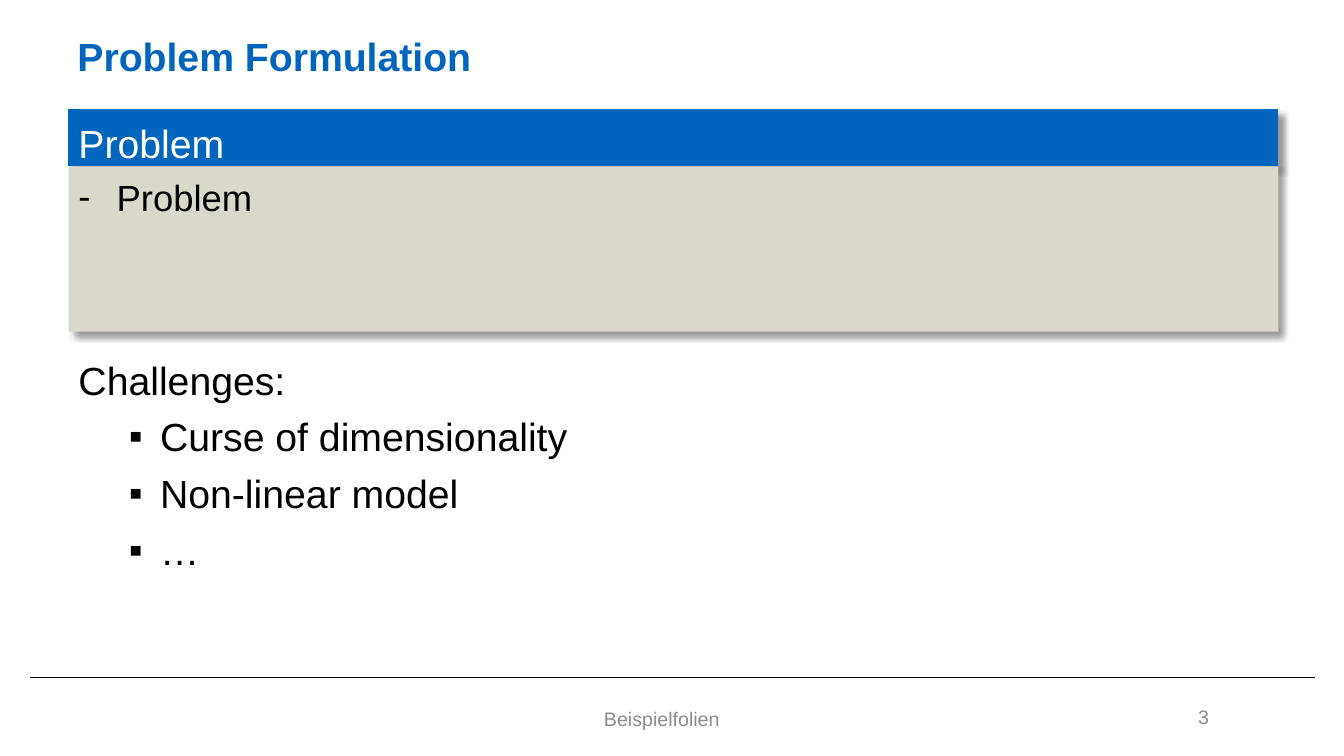
from dataclasses import dataclass

from lxml import etree
from pptx import Presentation
from pptx import util as u
from pptx.dml.color import RGBColor
from pptx.enum import shapes, text
from pptx.oxml import ns

EMU_PER_PX = 9144  # 100 px to the inch
FONT = "Arial"
COLORS = {
    "blue": "0065BD",
    "sand": "DAD7CB",
    "grey": "8C8C8C",
    "black": "000000",
    "white": "FFFFFF",
}


@dataclass(frozen=True)
class Box:
    left: int
    top: int
    width: int
    height: int


@dataclass(frozen=True)
class Line:
    words: str
    bullet: str = ""
    indent: int = 38
    hang: int = 38


@dataclass(frozen=True)
class Panel:
    box: Box
    fill: str
    outline: str
    line: Line
    size: int
    color: str


def px(value: int) -> u.Emu:
    return u.Emu(value * EMU_PER_PX)


def edges(box: Box) -> tuple:
    return px(box.left), px(box.top), px(box.width), px(box.height)


def rgb(name: str) -> RGBColor:
    return RGBColor.from_string(COLORS[name])


def write(shape, lines, *, size=28, color="black", bold=False, inset_top=5,
          align=text.PP_ALIGN.LEFT, anchor=text.MSO_ANCHOR.TOP) -> None:
    frame = shape.text_frame
    frame.word_wrap = True
    frame.vertical_anchor = anchor
    frame.margin_top = px(inset_top)
    for index, line in enumerate(lines):
        paragraph = frame.add_paragraph() if index else frame.paragraphs[0]
        paragraph.text = line.words
        paragraph.alignment = align
        if index:
            paragraph.space_before = u.Pt(7)
        if line.bullet:
            properties = paragraph._p.get_or_add_pPr()
            properties.set("marL", str(px(line.indent)))
            properties.set("indent", str(px(-line.hang)))
            etree.SubElement(properties, ns.qn("a:buFont"), typeface=FONT)
            etree.SubElement(properties, ns.qn("a:buChar"), char=line.bullet)
        font = paragraph.font
        font.name, font.size, font.bold = FONT, u.Pt(size), bold
        font.color.rgb = rgb(color)


def add_text(slide, box: Box, *lines: Line, **style) -> None:
    write(slide.shapes.add_textbox(*edges(box)), lines, **style)


def add_shadow(shape) -> None:
    effects = shape._element.spPr.find(ns.qn("a:effectLst"))
    shadow = etree.SubElement(
        effects, ns.qn("a:outerShdw"), blurRad=str(u.Pt(4)), dist=str(u.Pt(5)),
        dir=str(45 * 60000), algn="tl", rotWithShape="0")
    shade = etree.SubElement(shadow, ns.qn("a:srgbClr"), val=COLORS["black"])
    etree.SubElement(shade, ns.qn("a:alpha"), val="40000")


def add_panel(slide, panel: Panel) -> None:
    shape = slide.shapes.add_shape(shapes.MSO_SHAPE.RECTANGLE, *edges(panel.box))
    shape.shadow.inherit = False
    shape.fill.solid()
    shape.fill.fore_color.rgb = rgb(panel.fill)
    if panel.outline:
        shape.line.color.rgb = rgb(panel.outline)
        shape.line.width = u.Pt(0.75)
    else:
        shape.line.fill.background()
    add_shadow(shape)
    write(shape, [panel.line], size=panel.size, color=panel.color, inset_top=9)


def add_rule(slide, left: int, right: int, y: int) -> None:
    rule = slide.shapes.add_connector(
        shapes.MSO_CONNECTOR.STRAIGHT, px(left), px(y), px(right), px(y))
    rule.line.color.rgb = rgb("black")
    rule.line.width = u.Pt(1)
    etree.SubElement(rule._element.spPr, ns.qn("a:effectLst"))


PANELS = [
    Panel(Box(68, 109, 1199, 55), "blue", "blue", Line("Problem"), 28, "white"),
    Panel(Box(68, 165, 1200, 164), "sand", "", Line("Problem", "-"), 26, "black"),
]
CHALLENGES = ["Curse of dimensionality", "Non-linear model", "…"]


def main() -> None:
    deck = Presentation()
    deck.slide_width, deck.slide_height = px(1333), px(750)
    slide = deck.slides.add_slide(deck.slide_layouts[6])
    middle = text.MSO_ANCHOR.MIDDLE

    # Title
    add_text(slide, Box(67, 16, 954, 79), Line("Problem Formulation"),
             color="blue", bold=True, anchor=middle)

    # Footer
    add_rule(slide, 30, 1304, 672)
    add_text(slide, Box(226, 692, 861, 41), Line("Beispielfolien"), size=14,
             color="grey", align=text.PP_ALIGN.CENTER, anchor=middle)
    add_text(slide, Box(1087, 691, 122, 40), Line("3"), size=14,
             color="grey", align=text.PP_ALIGN.RIGHT, anchor=middle)

    # Challenges
    add_text(slide, Box(68, 344, 1198, 320), Line("Challenges:"),
             *(Line(words, "▪", 81, 31) for words in CHALLENGES), inset_top=9)

    # Problem statement
    for panel in PANELS:
        add_panel(slide, panel)

    deck.save("out.pptx")


if __name__ == "__main__":
    main()
